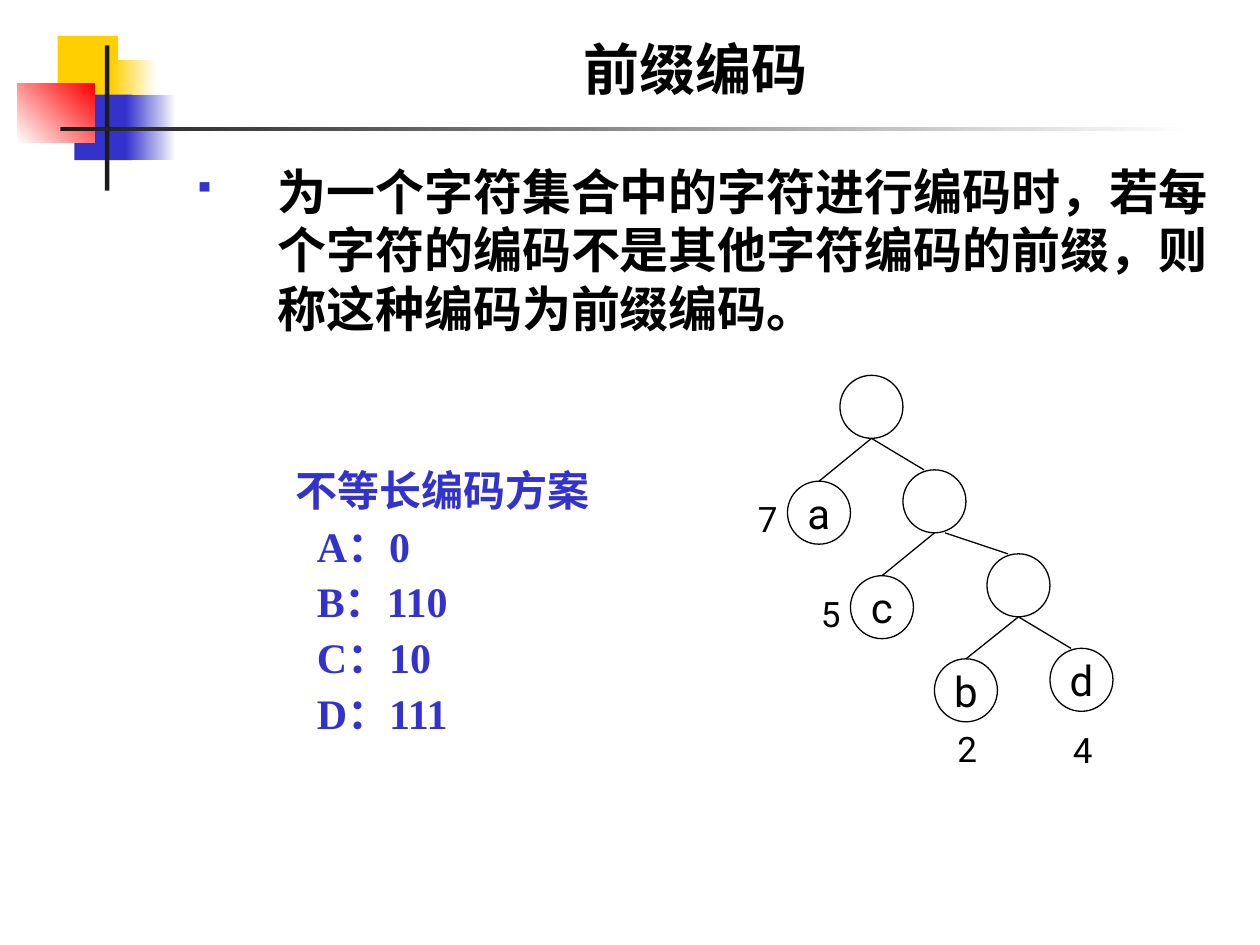
import pptx
import pptx.util
import pptx.dml.color
import pptx.enum.shapes
import pptx.enum.text
from lxml import etree

Pt = pptx.util.Pt
MSO = pptx.enum.shapes.MSO_SHAPE
ANCHOR = pptx.enum.text.MSO_ANCHOR
ALIGN = pptx.enum.text.PP_ALIGN
COLORS = {"gold": "FFCF01", "blue": "3333CC", "red": "FF0000",
          "dark": "1C1C1C", "white": "FFFFFF", "black": "000000"}
SIZE = 36

# left, top, width, height, colours, gradient angle
DECOR = [
    (33, 20.5, 34.5, 37.5, ["gold"], 0),
    (63.5, 34.5, 26, 37.5, ["gold", "white"], 0),
    (42.5, 54, 33, 37.5, ["blue"], 0),
    (72, 54, 28.5, 37.5, ["blue", "white"], 0),
    (10, 48, 44, 33.5, ["white", "red"], 45),
    (60, 26, 2.5, 83, ["dark"], 0),
    (34.5, 72.5, 648, 2.5, ["dark", "white"], 0),
]
# name: left, top, letter
NODES = {
    "root": (480, 214.5, ""), "mid": (516, 268.5, ""),
    "low": (564, 316.5, ""), "a": (450, 275, "a"),
    "c": (486, 329, "c"), "b": (534, 376.5, "b"), "d": (600, 370.5, "d"),
}
# parent, left child, right child, shift of the right edge's start
FORKS = [("root", "a", "mid", 0), ("mid", "c", "low", 6),
         ("low", "b", "d", 0)]
# node, weight, offset from the node
WEIGHTS = [("a", "7", -24, 6), ("c", "5", -24, 6),
           ("b", "2", 6, 35.5), ("d", "4", 6, 42)]


def rgb(name):
    return pptx.dml.color.RGBColor.from_string(COLORS[name])


def style(para, size, color="black", bold=False, face="Roboto"):
    font = para.font
    font.size, font.bold, font.name = Pt(size), bold, face
    font.color.rgb = rgb(color)


def add_block(slide, left, top, width, height, names, angle):
    """Draw a borderless rectangle, plain or with a gradient."""
    block = slide.shapes.add_shape(MSO.RECTANGLE, Pt(left), Pt(top),
                                   Pt(width), Pt(height))
    block.shadow.inherit = False
    block.line.fill.background()
    if len(names) == 1:
        block.fill.solid()
        block.fill.fore_color.rgb = rgb(names[0])
        return
    block.fill.gradient()
    block.fill.gradient_angle = angle
    for stop, name, place in zip(block.fill.gradient_stops, names, (0, 1)):
        stop.color.rgb = rgb(name)
        stop.position = place


def add_text(slide, left, top, width, height, lines):
    box = slide.shapes.add_textbox(Pt(left), Pt(top), Pt(width), Pt(height))
    frame = box.text_frame
    frame.word_wrap = True
    frame.text = "\n".join(lines)
    return frame.paragraphs


def add_bullet(para, indent):
    props = para._p.get_or_add_pPr()
    props.set("marL", str(Pt(indent)))
    props.set("indent", str(-Pt(indent)))
    tint = etree.SubElement(props, pptx.oxml.ns.qn("a:buClr"))
    etree.SubElement(tint, pptx.oxml.ns.qn("a:srgbClr"), val=COLORS["blue"])
    etree.SubElement(props, pptx.oxml.ns.qn("a:buSzPct"), val="60000")
    etree.SubElement(props, pptx.oxml.ns.qn("a:buChar"), char="▪")


def add_edge(slide, *ends):
    edge = slide.shapes.add_connector(
        pptx.enum.shapes.MSO_CONNECTOR.STRAIGHT, *map(Pt, ends))
    edge.line.color.rgb = rgb("black")
    edge.line.width = Pt(0.75)
    etree.SubElement(edge._element.spPr, pptx.oxml.ns.qn("a:effectLst"))


def add_node(slide, left, top, letter):
    node = slide.shapes.add_shape(MSO.OVAL, Pt(left), Pt(top),
                                  Pt(SIZE), Pt(SIZE))
    node.shadow.inherit = False
    node.fill.background()
    node.line.color.rgb = rgb("black")
    node.line.width = Pt(0.75)
    if letter:
        frame = node.text_frame
        frame.margin_left = frame.margin_right = 0
        frame.margin_top = frame.margin_bottom = 0
        frame.word_wrap = False
        frame.vertical_anchor = ANCHOR.MIDDLE
        frame.text = letter
        para = frame.paragraphs[0]
        para.alignment = ALIGN.CENTER
        style(para, 24)


def add_tree(slide):
    for node in NODES.values():
        add_node(slide, *node)
    for top, left, right, shift in FORKS:
        x, y = NODES[top][0] + SIZE / 2, NODES[top][1] + SIZE
        add_edge(slide, x, y, NODES[left][0] + SIZE / 2, NODES[left][1])
        add_edge(slide, x + shift, y, NODES[right][0] + 12, NODES[right][1])
    for name, weight, dx, dy in WEIGHTS:
        x, y, _ = NODES[name]
        style(add_text(slide, x + dx, y + dy, 24, 31.5, [weight])[0], 20)


def add_title(slide, text):
    title = slide.shapes.title
    title.left, title.top = Pt(90.5), Pt(29.5)
    title.width, title.height = Pt(613.5), Pt(32.5)
    frame = title.text_frame
    frame.vertical_anchor = ANCHOR.BOTTOM
    frame.text = text
    para = frame.paragraphs[0]
    para.alignment = ALIGN.CENTER
    style(para, 32, bold=True)


def add_codes(slide):
    lines = ["不等长编码方案", "A：0", "B：110", "C：10", "D：111"]
    paras = add_text(slide, 162, 262, 192, 163.5, lines)
    for i, para in enumerate(paras):
        if i:
            para.space_before = Pt(3)
            para._p.get_or_add_pPr().set("marL", str(Pt(12)))
        style(para, 24, "blue", True, "Times New Roman")


def main():
    deck = pptx.Presentation()
    deck.slide_width, deck.slide_height = Pt(720), Pt(540)
    slide = deck.slides.add_slide(deck.slide_layouts[5])
    for block in DECOR:
        add_block(slide, *block)
    add_title(slide, "前缀编码")
    body = add_text(slide, 103.5, 88.5, 602, 134.5, [
        "为一个字符集合中的字符进行编码时，若每个字符的编码不是其他字符"
        "编码的前缀，则称这种编码为前缀编码。"])[0]
    add_bullet(body, 48)
    style(body, 28, bold=True)
    add_codes(slide)
    add_tree(slide)
    deck.save("out.pptx")


if __name__ == "__main__":
    main()
